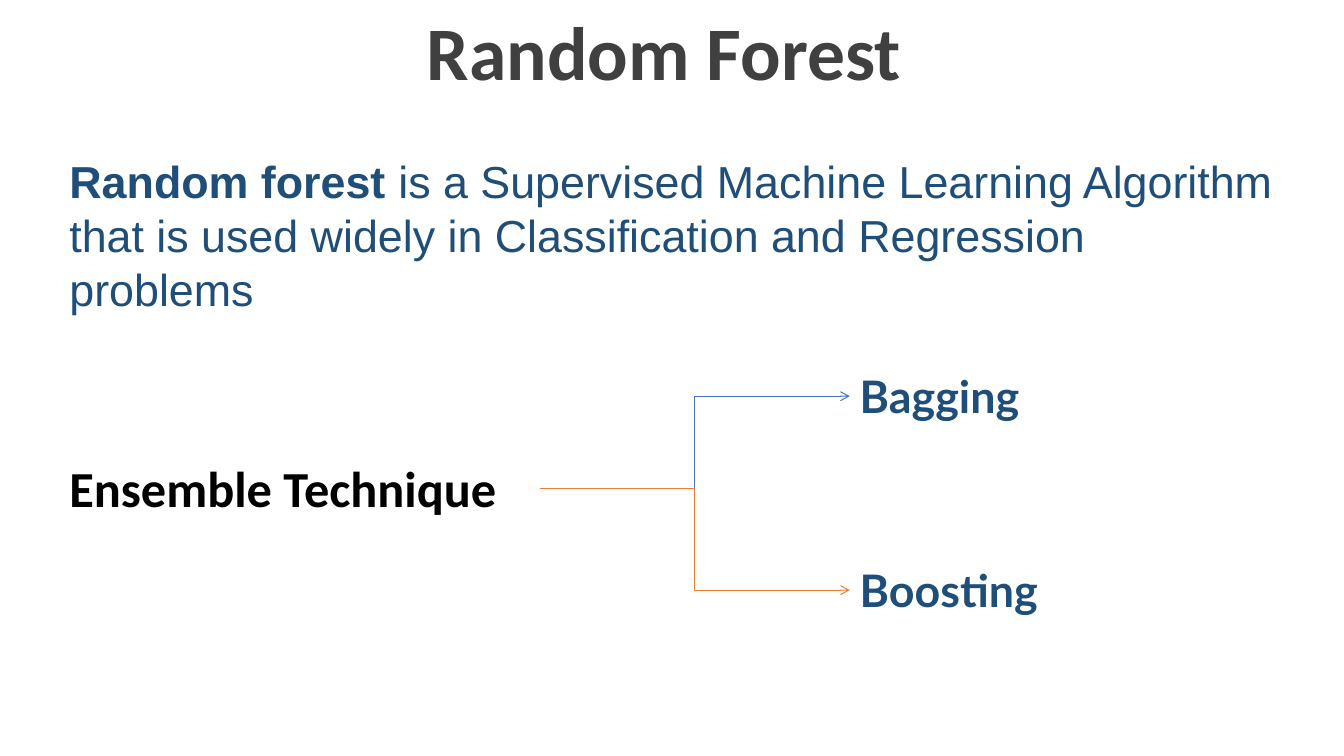
"""Build the Random Forest slide with its ensemble technique tree."""
from lxml import etree
from pptx import Presentation
from pptx.dml.color import RGBColor
from pptx.enum import shapes, text
from pptx.oxml import ns
from pptx.util import Pt

GRAY = RGBColor(0x40, 0x40, 0x40)
NAVY = RGBColor(0x1F, 0x4E, 0x79)
BLACK = RGBColor(0, 0, 0)
BLUE = RGBColor(0x44, 0x72, 0xC4)
ORANGE = RGBColor(0xED, 0x7D, 0x31)

deck = Presentation()
deck.slide_width, deck.slide_height = Pt(960), Pt(540)
slide = deck.slides.add_slide(deck.slide_layouts[6])


def write(bold, box, plain="", size=32, font="Calibri", color=NAVY,
          align=text.PP_ALIGN.LEFT, wrap=True):
    frame = slide.shapes.add_textbox(*map(Pt, box)).text_frame
    frame.word_wrap = wrap
    par = frame.paragraphs[0]
    par.alignment = align
    for words, heavy in ((bold, True), (plain, False)):
        if words:
            run = par.add_run()
            run.text = words
            run.font.name = font
            run.font.size = Pt(size)
            run.font.bold = heavy
            run.font.color.rgb = color


write("Random Forest ", (296, 0, 369, 72.7), size=54, color=GRAY,
      align=text.PP_ALIGN.CENTER, wrap=False)
write("Random forest", (42.5, 106.5, 875, 85), font="Arial",
      plain="\N{NO-BREAK SPACE}is a Supervised Machine Learning Algorithm that is used "
            "widely in Classification and Regression problems")
write("Ensemble Technique", (42.5, 323.3, 332, 51), size=36, color=BLACK)

for name, top, end, color in (("Bagging", 260, 283, BLUE),
                              ("Boosting", 398.2, 421.5, ORANGE)):
    write(name, (607, top, 168, 46), font="Lato")
    link = slide.shapes.add_connector(
        shapes.MSO_CONNECTOR.ELBOW, Pt(385.5), Pt(349.2), Pt(607), Pt(end))
    link.line.color.rgb = color
    link.line.width = Pt(0.75)
    props = link._element.spPr
    etree.SubElement(props.find(ns.qn("a:ln")), ns.qn("a:tailEnd"), type="arrow")
    etree.SubElement(props, ns.qn("a:effectLst"))

deck.save("out.pptx")
